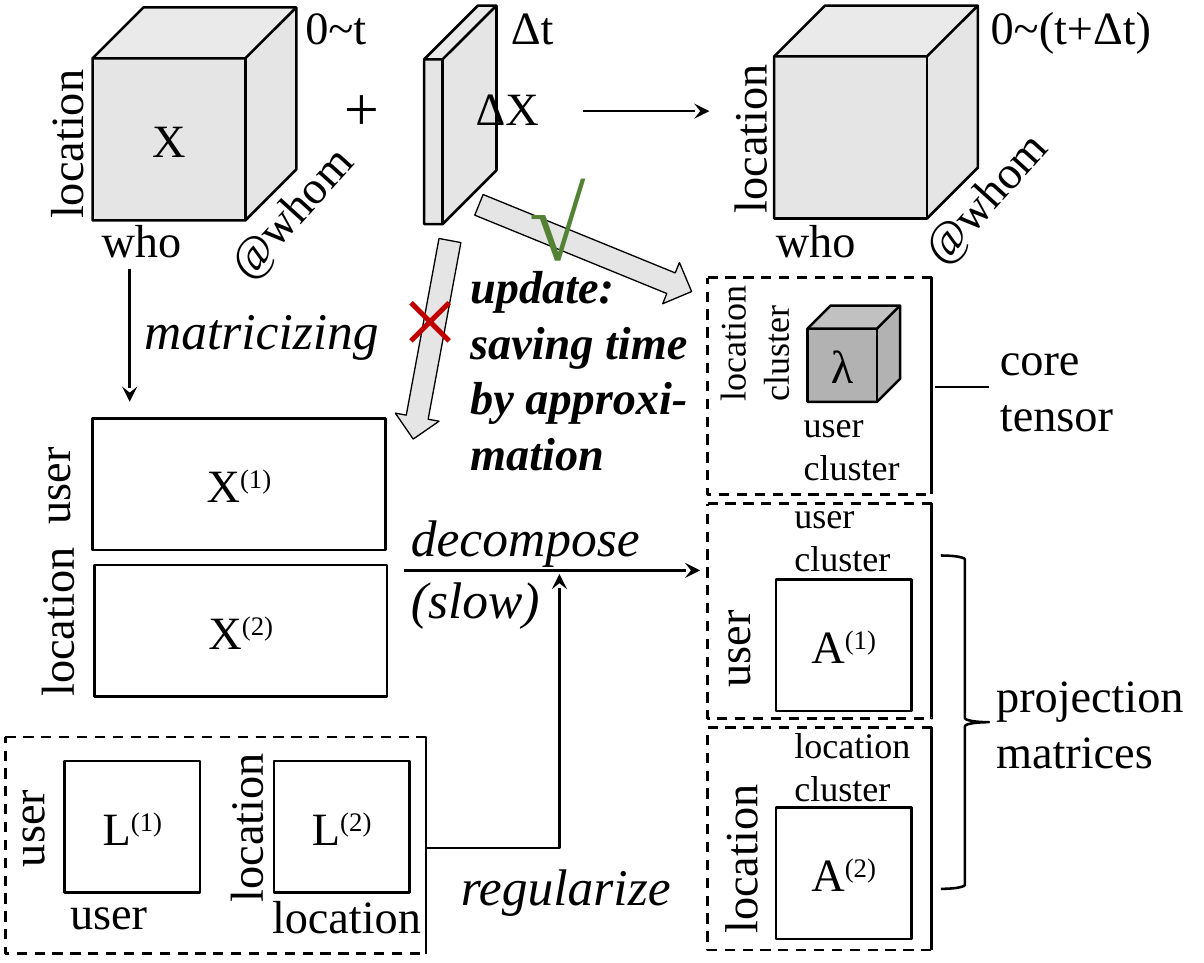
from lxml import etree
from pptx import Presentation
from pptx import util as u
from pptx.dml.color import RGBColor
from pptx.enum import dml, shapes, text
from pptx.oxml import ns

FONT = "Times New Roman"
BLACK, WHITE, RED, GREEN = "000000", "FFFFFF", "C00000", "548235"
LINE_RATIO = 1.2
ITALIC = {"italic": True}
BOLD_ITALIC = {"bold": True, "italic": True}

# left, top, width, height, depth ratio, black opacity in percent, label
CUBES = [
    (0.5, 0.04, 1.1, 1.15, 0.25, 10, "X"),
    (2.29, 0.03, 0.39, 1.18, 0.744, 10, ""),
    (4.18, 0.03, 1.1, 1.15, 0.25, 10, ""),
    (4.36, 1.65, 0.5, 0.52, 0.25, 30, "λ"),
]

# left, top, width, letter, superscript
MATRIX_HEIGHT = 0.71
MATRICES = [
    (0.5, 2.26, 1.58, "X", "(1)"),
    (0.51, 3.05, 1.58, "X", "(2)"),
    (4.19, 3.13, 0.73, "A", "(1)"),
    (4.19, 4.36, 0.73, "A", "(2)"),
    (0.35, 4.11, 0.73, "L", "(1)"),
    (1.48, 4.11, 0.73, "L", "(2)"),
]

# left, top, width, height
DASHED_GROUPS = [
    (3.82, 1.5, 1.21, 1.17),
    (3.82, 2.72, 1.21, 1.16),
    (3.82, 3.93, 1.21, 1.2),
    (0.03, 3.98, 2.27, 1.17),
]

# left, top, width, height, rotation
BLOCK_ARROWS = [
    (2.21, 1.29, 0.24, 1.09, 10.5),
    (3.04, 0.72, 0.24, 1.24, 292.2),
]

BRACE = (5.08, 3, 0.26, 1.8)

# start x, start y, end x, end y, preset, arrowhead
LINES = [
    (3.15, 0.6, 3.83, 0.6, "line", True),
    (0.7, 1.45, 0.7, 2.17, "line", True),
    (2.18, 3.08, 3.78, 3.08, "line", True),
    (5.05, 2.09, 5.34, 2.09, "line", False),
    (2.3, 4.58, 3.02, 3.1, "bentConnector2", True),
]

# paragraphs, left, top, width, size, rotation, colour, font style
LABELS = [
    (["who"], 0.45, 1.09, 0.64, 18, 0, BLACK, {}),
    (["who"], 4.09, 1.09, 0.64, 18, 0, BLACK, {}),
    (["location"], -0.16, 0.57, 1.02, 18, 270, BLACK, {}),
    (["location"], 3.53, 0.54, 1.02, 18, 270, BLACK, {}),
    (["@whom"], 1.03, 0.93, 1.07, 18, 312.2, BLACK, {}),
    (["@whom"], 4.78, 0.85, 1.07, 18, 312.2, BLACK, {}),
    (["0~t"], 1.55, -0.06, 0.54, 18, 0, BLACK, {}),
    (["Δt"], 2.66, -0.06, 0.45, 18, 0, BLACK, {}),
    (["0~(t+Δt)"], 5.25, -0.06, 1.1, 18, 0, BLACK, {}),
    (["+"], 1.76, 0.32, 0.39, 24, 0, BLACK, {}),
    (["ΔX"], 2.47, 0.38, 0.57, 18, 0, BLACK, {}),
    (["user"], -0.03, 2.42, 0.62, 18, 270, BLACK, {}),
    (["location"], -0.21, 3.15, 1.02, 18, 270, BLACK, {}),
    (["user"], 3.64, 3.3, 0.62, 18, 270, BLACK, {}),
    (["location"], 3.48, 4.43, 1.02, 18, 270, BLACK, {}),
    (["user"], -0.17, 4.27, 0.62, 18, 270, BLACK, {}),
    (["location"], 0.81, 4.26, 1.02, 18, 270, BLACK, {}),
    (["user"], 0.28, 4.72, 0.62, 18, 0, BLACK, {}),
    (["location"], 1.37, 4.74, 1.02, 18, 0, BLACK, {}),
    (["user", "cluster"], 4.24, 2.12, 0.73, 14, 0, BLACK, {}),
    (["location", "cluster"], 3.65, 1.57, 0.83, 14, 270, BLACK, {}),
    (["user", "cluster"], 4.19, 2.61, 0.73, 14, 0, BLACK, {}),
    (["location", "cluster"], 4.19, 3.85, 0.83, 14, 0, BLACK, {}),
    (["core", "tensor"], 5.3, 1.73, 0.82, 18, 0, BLACK, {}),
    (["projection", "matrices"], 5.28, 3.55, 1.23, 18, 0, BLACK, {}),
    (["matricizing"], 0.68, 1.56, 1.51, 20, 0, BLACK, ITALIC),
    (["decompose", "(slow)"], 2.12, 2.68, 1.46, 20, 0, BLACK, ITALIC),
    (["regularize"], 2.39, 4.56, 1.37, 20, 0, BLACK, ITALIC),
    (["update:", "saving time", "by approxi-", "mation"],
     2.44, 1.34, 1.39, 18, 0, BLACK, BOLD_ITALIC),
    (["×"], 2.07, 1.32, 0.52, 40, 0, RED, {}),
    (["√"], 2.76, 0.8, 0.51, 40, 0, GREEN, {}),
]


def paint(color_format, color):
    color_format.rgb = RGBColor.from_string(color)


def add_span(para, content, size, color=BLACK, style=None):
    span = para.add_run()
    span.text = content
    for name, value in {"name": FONT, "size": u.Pt(size), **(style or {})}.items():
        setattr(span.font, name, value)
    paint(span.font.color, color)
    para.line_spacing = u.Pt(size * LINE_RATIO)
    return span


def add_outlined(page, preset, frame, line_width=1, fill=None, opacity=100):
    shape = page.shapes.add_shape(preset, *map(u.Inches, frame))
    shape.shadow.inherit = False
    paint(shape.line.color, BLACK)
    shape.line.width = u.Pt(line_width)
    if fill is None:
        shape.fill.background()
        return shape
    shape.fill.solid()
    paint(shape.fill.fore_color, fill)
    if opacity < 100:
        tint = shape._element.spPr.find(".//" + ns.qn("a:srgbClr"))
        etree.SubElement(tint, ns.qn("a:alpha"), val=str(opacity * 1000))
    return shape


def add_centred(shape, letter, superscript=""):
    shape.text_frame.vertical_anchor = text.MSO_ANCHOR.MIDDLE
    para = shape.text_frame.paragraphs[0]
    para.alignment = text.PP_ALIGN.CENTER
    add_span(para, letter, 18)
    if superscript:
        raised = add_span(para, superscript, 18)
        raised.font._element.set("baseline", "30000")


def add_line(page, start_x, start_y, end_x, end_y, preset, arrowhead):
    ends = map(u.Inches, (start_x, start_y, end_x, end_y))
    line = page.shapes.add_connector(shapes.MSO_CONNECTOR.STRAIGHT, *ends)
    paint(line.line.color, BLACK)
    line.line.width = u.Pt(1)
    properties = line._element.spPr
    properties.find(ns.qn("a:prstGeom")).set("prst", preset)
    if arrowhead:
        etree.SubElement(properties.find(ns.qn("a:ln")), ns.qn("a:tailEnd"), type="stealth")
    etree.SubElement(properties, ns.qn("a:effectLst"))


def add_label(page, lines, left, top, width, size, rotation, color, style):
    height = len(lines) * size * LINE_RATIO / 72 + 0.1
    box = page.shapes.add_textbox(*map(u.Inches, (left, top, width, height)))
    box.rotation = rotation
    frame = box.text_frame
    frame.word_wrap = False
    frame.auto_size = text.MSO_AUTO_SIZE.SHAPE_TO_FIT_TEXT
    for index, content in enumerate(lines):
        para = frame.add_paragraph() if index else frame.paragraphs[0]
        add_span(para, content, size, color, style)


def main():
    deck = Presentation()
    deck.slide_width, deck.slide_height = u.Inches(6.5), u.Inches(5.2)
    page = deck.slides.add_slide(deck.slide_layouts[6])
    preset = shapes.MSO_SHAPE

    for *frame, depth, opacity, label in CUBES:
        cube = add_outlined(page, preset.CUBE, frame, fill=BLACK, opacity=opacity)
        cube.adjustments[0] = depth
        if label:
            add_centred(cube, label)
    for frame in DASHED_GROUPS:
        group = add_outlined(page, preset.CUBE, frame)
        group.adjustments[0] = 0
        group.line.dash_style = dml.MSO_LINE.DASH
    for left, top, width, letter, superscript in MATRICES:
        frame = (left, top, width, MATRIX_HEIGHT)
        matrix = add_outlined(page, preset.CUBE, frame, fill=WHITE)
        matrix.adjustments[0] = 0
        add_centred(matrix, letter, superscript)
    for *frame, rotation in BLOCK_ARROWS:
        arrow = add_outlined(page, preset.DOWN_ARROW, frame, 0.5, BLACK, 10)
        arrow.rotation = rotation
    add_outlined(page, preset.RIGHT_BRACE, BRACE)
    for line in LINES:
        add_line(page, *line)
    for label in LABELS:
        add_label(page, *label)
    deck.save("out.pptx")


if __name__ == "__main__":
    main()
